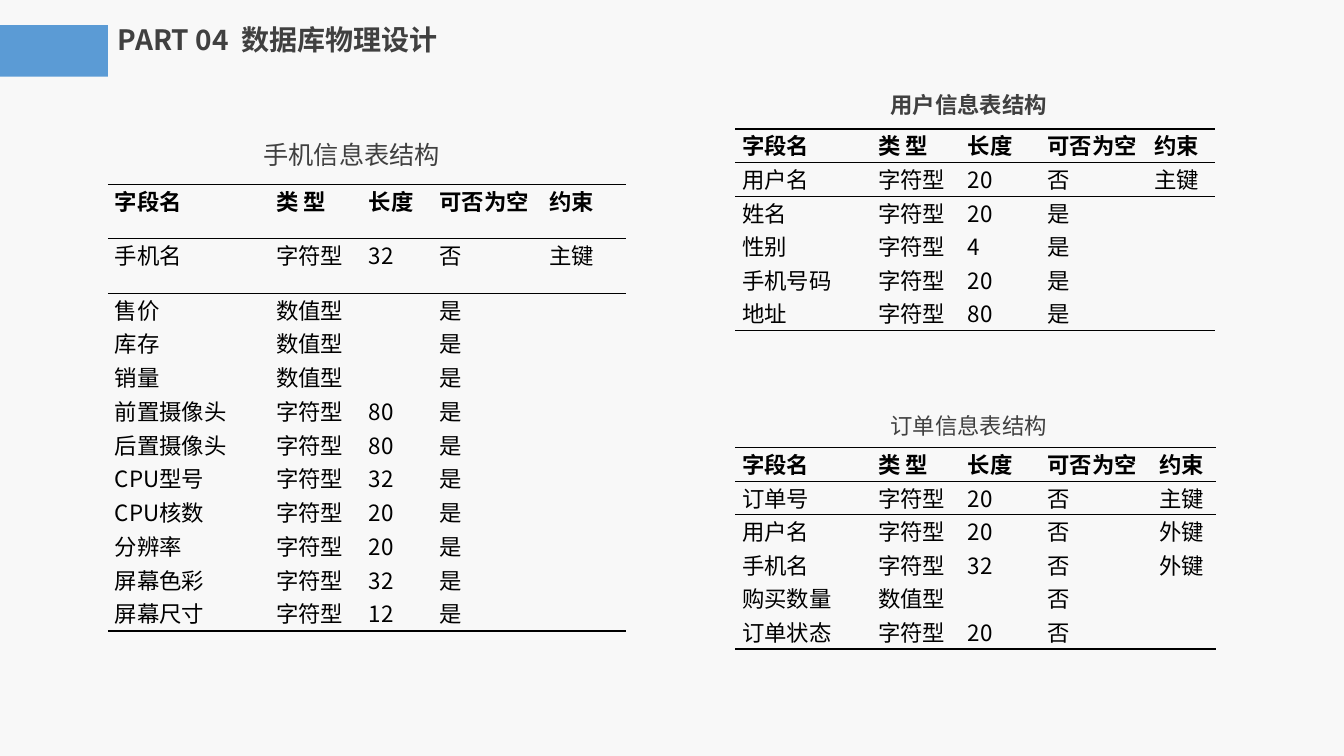
import lxml.etree
import pptx
import pptx.dml.color
import pptx.enum.shapes
import pptx.enum.text
import pptx.oxml.ns
import pptx.util

Inches = pptx.util.Inches
COLOURS = {"page": "F8F8F8", "accent": "5B9BD5", "heading": "404040", "ink": "000000"}
FONT = "Noto Sans CJK SC"
NO_STYLE = "{2D5ABB26-0587-4C30-8999-92F81FD0307C}"
THICK, THIN = 1.5, 1
CELL_INSET = 0.07
CAPTION_RIGHT_INSET = 0.22

HEADER = ("字段名", "类 型", "长度", "可否为空", "约束")
PHONE_FIELDS = [
    ("手机名", "字符型", "32", "否", "主键"),
    ("售价", "数值型", "", "是", ""),
    ("库存", "数值型", "", "是", ""),
    ("销量", "数值型", "", "是", ""),
    ("前置摄像头", "字符型", "80", "是", ""),
    ("后置摄像头", "字符型", "80", "是", ""),
    ("CPU型号", "字符型", "32", "是", ""),
    ("CPU核数", "字符型", "20", "是", ""),
    ("分辨率", "字符型", "20", "是", ""),
    ("屏幕色彩", "字符型", "32", "是", ""),
    ("屏幕尺寸", "字符型", "12", "是", ""),
]
USER_FIELDS = [
    ("用户名", "字符型", "20", "否", "主键"),
    ("姓名", "字符型", "20", "是", ""),
    ("性别", "字符型", "4", "是", ""),
    ("手机号码", "字符型", "20", "是", ""),
    ("地址", "字符型", "80", "是", ""),
]
ORDER_FIELDS = [
    ("订单号", "字符型", "20", "否", "主键"),
    ("用户名", "字符型", "20", "否", "外键"),
    ("手机名", "字符型", "32", "否", "外键"),
    ("购买数量", "数值型", "", "否", ""),
    ("订单状态", "字符型", "20", "否", ""),
]


def colour(name):
    return pptx.dml.color.RGBColor.from_string(COLOURS[name])


def add_span(para, text, size, ink, bold=False, font=FONT):
    span = para.add_run()
    span.text = text
    span.font.size = pptx.util.Pt(size)
    span.font.bold = bold
    span.font.color.rgb = colour(ink)
    span.font.name = font
    east_asian = lxml.etree.SubElement(span.font._element, pptx.oxml.ns.qn("a:ea"))
    east_asian.set("typeface", FONT)


def add_border(cell, side, width):
    line = lxml.etree.SubElement(
        cell._tc.get_or_add_tcPr(), pptx.oxml.ns.qn("a:" + side),
        w=str(pptx.util.Pt(width)))
    fill = lxml.etree.SubElement(line, pptx.oxml.ns.qn("a:solidFill"))
    lxml.etree.SubElement(fill, pptx.oxml.ns.qn("a:srgbClr"), val=COLOURS["ink"])


def add_title_bar(page, left, top, width, height):
    # Accent block at the page edge, ending where the title begins
    block = page.shapes.add_shape(
        pptx.enum.shapes.MSO_SHAPE.RECTANGLE, 0, Inches(top + 0.08), Inches(left), Inches(0.51))
    block.shadow.inherit = False
    block.fill.solid()
    block.fill.fore_color.rgb = colour("accent")
    block.line.fill.background()

    # Title text
    title = page.shapes.title
    title.left, title.top = Inches(left), Inches(top)
    title.width, title.height = Inches(width), Inches(height)
    frame = title.text_frame
    frame.auto_size = pptx.enum.text.MSO_AUTO_SIZE.NONE
    frame.vertical_anchor = pptx.enum.text.MSO_ANCHOR.TOP
    frame.word_wrap = False
    para = frame.paragraphs[0]
    para.alignment = pptx.enum.text.PP_ALIGN.LEFT
    add_span(para, "PART 04  数据库物理设计", 20, "heading", bold=True)


def add_caption(page, left, top, width, height, text, size=16, **style):
    box = page.shapes.add_textbox(Inches(left), Inches(top), Inches(width), Inches(height))
    frame = box.text_frame
    frame.word_wrap = True
    frame.margin_right = Inches(CAPTION_RIGHT_INSET)
    para = frame.paragraphs[0]
    para.alignment = pptx.enum.text.PP_ALIGN.CENTER
    add_span(para, text, size, "heading", **style)


def add_field_table(page, left, top, columns, heights, fields):
    rows = [HEADER] + fields
    table = page.shapes.add_table(
        len(rows), len(columns), Inches(left), Inches(top),
        Inches(sum(columns)), Inches(sum(heights))).table
    table.first_row = table.horz_banding = False
    table._tbl.tblPr.find(pptx.oxml.ns.qn("a:tableStyleId")).text = NO_STYLE
    for column, width in zip(table.columns, columns):
        column.width = Inches(width)
    for row, height in zip(table.rows, heights):
        row.height = Inches(height)

    for row_index, values in enumerate(rows):
        for column_index, value in enumerate(values):
            cell = table.cell(row_index, column_index)
            cell.margin_left = cell.margin_right = Inches(CELL_INSET)
            cell.margin_top = cell.margin_bottom = 0
            # Three-line table: rules above and below the header, and at the foot
            if row_index == 0:
                add_border(cell, "lnT", THICK)
                add_border(cell, "lnB", THIN)
            elif row_index == 1:
                add_border(cell, "lnT", THIN)
            elif row_index == len(rows) - 1:
                add_border(cell, "lnB", THICK)
            cell.fill.background()
            if value:
                add_span(cell.text_frame.paragraphs[0], value, 16, "ink", bold=row_index == 0)


def add_design_page(deck):
    page = deck.slides.add_slide(deck.slide_layouts[5])
    page.background.fill.solid()
    page.background.fill.fore_color.rgb = colour("page")
    add_title_bar(page, 1.07, 0.17, 4.39, 0.44)

    # Phone table on the left
    add_caption(page, 0.77, 1.33, 5.56, 0.4, "手机信息表结构", size=18)
    add_field_table(page, 1.07, 1.83, (1.6, 0.92, 0.7, 1.09, 0.83),
                    [0.54] * 2 + [0.335] * 10, PHONE_FIELDS)

    # User and order tables on the right
    right, width = 7.29, 4.76
    row_heights = [2 / 6] * 6
    add_caption(page, right, 0.86, width, 0.37, "用户信息表结构", bold=True, font="Calibri")
    add_field_table(page, right, 1.28, (1.35, 0.89, 0.79, 1.06, 0.67), row_heights, USER_FIELDS)
    add_caption(page, right, 4.04, width, 0.37, "订单信息表结构")
    add_field_table(page, right, 4.44, (1.35, 0.89, 0.79, 1.11, 0.63), row_heights, ORDER_FIELDS)


def main():
    deck = pptx.Presentation()
    deck.slide_width, deck.slide_height = Inches(13.33), Inches(7.5)
    add_design_page(deck)
    deck.save("out.pptx")


if __name__ == "__main__":
    main()
